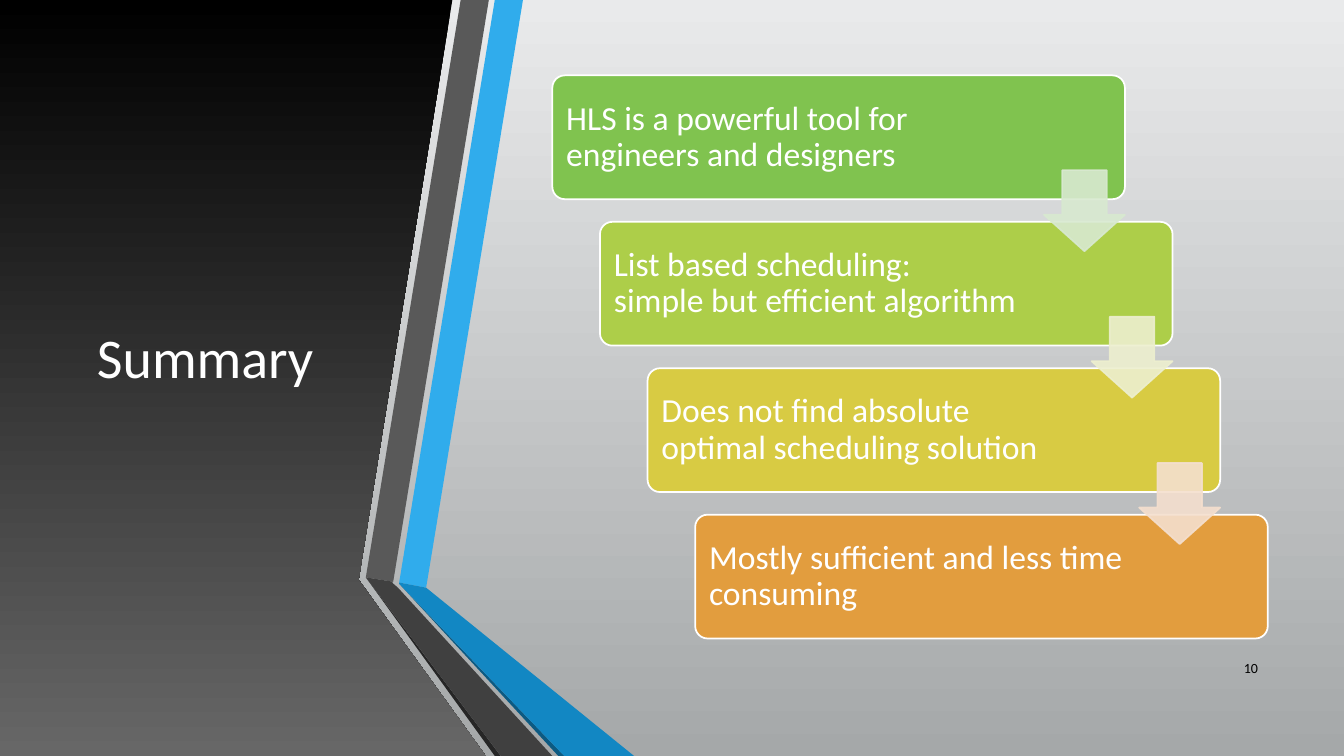
from lxml import etree
from pptx import Presentation
from pptx.dml.color import RGBColor
from pptx.enum.shapes import MSO_SHAPE
from pptx.enum.text import MSO_ANCHOR, PP_ALIGN
from pptx.oxml.ns import qn
from pptx.util import Cm, Pt

RECTANGLE = MSO_SHAPE.RECTANGLE
ROUNDED = MSO_SHAPE.ROUNDED_RECTANGLE
DOWN_ARROW = MSO_SHAPE.DOWN_ARROW
MIDDLE = MSO_ANCHOR.MIDDLE
LEFT, CENTER, RIGHT = PP_ALIGN.LEFT, PP_ALIGN.CENTER, PP_ALIGN.RIGHT

WIDTH, HEIGHT = 33.87, 19.05
BACKDROP = ("E9EAEB", "A5A8A9")
PANEL = ("000000", "676767")
PANEL_OUTLINE = [(0, 0), (11.4, 0), (9.04, 14.61), (12.24, HEIGHT), (0, HEIGHT)]

RIBBONS = [
    ("30ACEC", [(10.06, 14.68), (10.74, 14.81), (13.18, 0), (12.47, 0)]),
    ("595959", [(12.32, 0), (11.61, 0), (9.22, 14.55), (9.91, 14.66)]),
    ("262626", [(9.22, 14.55), (12.47, HEIGHT), (12.62, HEIGHT)]),
    ("0C5A82", [(10.06, 14.71), (14.07, HEIGHT), (14.22, HEIGHT)]),
    ("1287C3", [(10.06, 14.71), (14.22, HEIGHT), (15.98, HEIGHT),
                (10.74, 14.81), (10.06, 14.68)]),
    ("404040", [(13.92, HEIGHT), (10.03, 14.81), (9.88, 14.68), (9.91, 14.66),
                (9.22, 14.55), (12.62, HEIGHT)]),
]

CARDS = [
    ("80C34F", "HLS is a powerful tool for engineers and designers"),
    ("ADCE49", "List based scheduling:\vsimple but efficient algorithm"),
    ("D8CB43", "Does not find absolute optimal scheduling solution"),
    ("E29D3E", "Mostly sufficient and less time consuming"),
]
ARROW_COLORS = ["D8E9D0", "EDEFCF", "F4DFCE"]
STEP_X, STEP_Y = 1.2, 3.69
CARD_INSETS = {"margin_left": Cm(0.26), "margin_right": Cm(3.48),
               "margin_top": Cm(0.25), "margin_bottom": Cm(0.25)}


def color(value):
    return RGBColor.from_string(value)


def set_attributes(target, values):
    for name, value in values.items():
        setattr(target, name, value)


def set_gradient(fill, colors):
    """Fill from the first colour at the top to the second at the bottom."""
    fill.gradient()
    fill.gradient_angle = 270
    for stop, value in zip(fill.gradient_stops, colors):
        stop.color.rgb = color(value)


def set_opacity(shape, percent):
    for element in shape._element.spPr.iter(qn("a:srgbClr")):
        etree.SubElement(element, qn("a:alpha"), val=str(percent * 1000))


class SlideBuilder:
    font_name = "Calibri"
    line_width = Pt(1.25)

    def __init__(self, slide):
        self.slide = slide

    def paint(self, shape, fill, line=None):
        """Fill with one colour, or with a gradient when given a pair."""
        shape.shadow.inherit = False
        if isinstance(fill, tuple):
            set_gradient(shape.fill, fill)
        else:
            shape.fill.solid()
            shape.fill.fore_color.rgb = color(fill)
        if line:
            shape.line.color.rgb = color(line)
            shape.line.width = self.line_width
        else:
            shape.line.fill.background()
        return shape

    def preset(self, kind, box, fill, line=None, adjustments=()):
        shape = self.slide.shapes.add_shape(kind, *map(Cm, box))
        for index, value in enumerate(adjustments):
            shape.adjustments[index] = value
        return self.paint(shape, fill, line)

    def outline(self, points, fill):
        points = [(Cm(x), Cm(y)) for x, y in points]
        builder = self.slide.shapes.build_freeform(*points[0])
        builder.add_line_segments(points[1:], close=True)
        return self.paint(builder.convert_to_shape(), fill)

    def set_text(self, shape, text, size, ink, paragraph_format, frame_format=None):
        frame = shape.text_frame
        set_attributes(frame, {"word_wrap": True, "vertical_anchor": MIDDLE,
                               **(frame_format or {})})
        paragraph = frame.paragraphs[0]
        paragraph.text = text
        set_attributes(paragraph, paragraph_format)
        for run in paragraph.runs:
            set_attributes(run.font, {"name": self.font_name, "size": Pt(size)})
            run.font.color.rgb = color(ink)

    def text_box(self, box, text, size, ink, alignment):
        shape = self.slide.shapes.add_textbox(*map(Cm, box))
        self.set_text(shape, text, size, ink, {"alignment": alignment})

    def card(self, box, fill, text):
        shape = self.preset(ROUNDED, box, fill, "FFFFFF", [0.1])
        self.set_text(shape, text, 24, "FFFFFF",
                      {"alignment": LEFT, "line_spacing": 0.9}, CARD_INSETS)

    def arrow(self, box, fill):
        set_opacity(self.preset(DOWN_ARROW, box, fill, fill, [0.55, 0.45]), 90)


def main():
    presentation = Presentation()
    presentation.slide_width, presentation.slide_height = Cm(WIDTH), Cm(HEIGHT)
    slide = presentation.slides.add_slide(presentation.slide_layouts[6])
    set_gradient(slide.background.fill, BACKDROP)
    builder = SlideBuilder(slide)

    builder.preset(RECTANGLE, (0, 0, WIDTH, HEIGHT), BACKDROP)
    builder.outline(PANEL_OUTLINE, PANEL)
    builder.text_box((1.5, 1.9, 7.34, 14.17), "Summary", 40, "FFFFFF", CENTER)
    for fill, points in RIBBONS:
        builder.outline(points, fill)
    builder.text_box((30.43, 16.31, 1.52, 1.02), "10", 10, "000000", RIGHT)

    for index, (fill, text) in enumerate(CARDS):
        builder.card((13.92 + index * STEP_X, 1.9 + index * STEP_Y, 14.43, 3.12),
                     fill, text)
    for index, fill in enumerate(ARROW_COLORS):
        builder.arrow((26.31 + index * STEP_X, 4.29 + index * STEP_Y, 2.04, 2.04),
                      fill)

    presentation.save("out.pptx")


if __name__ == "__main__":
    main()
